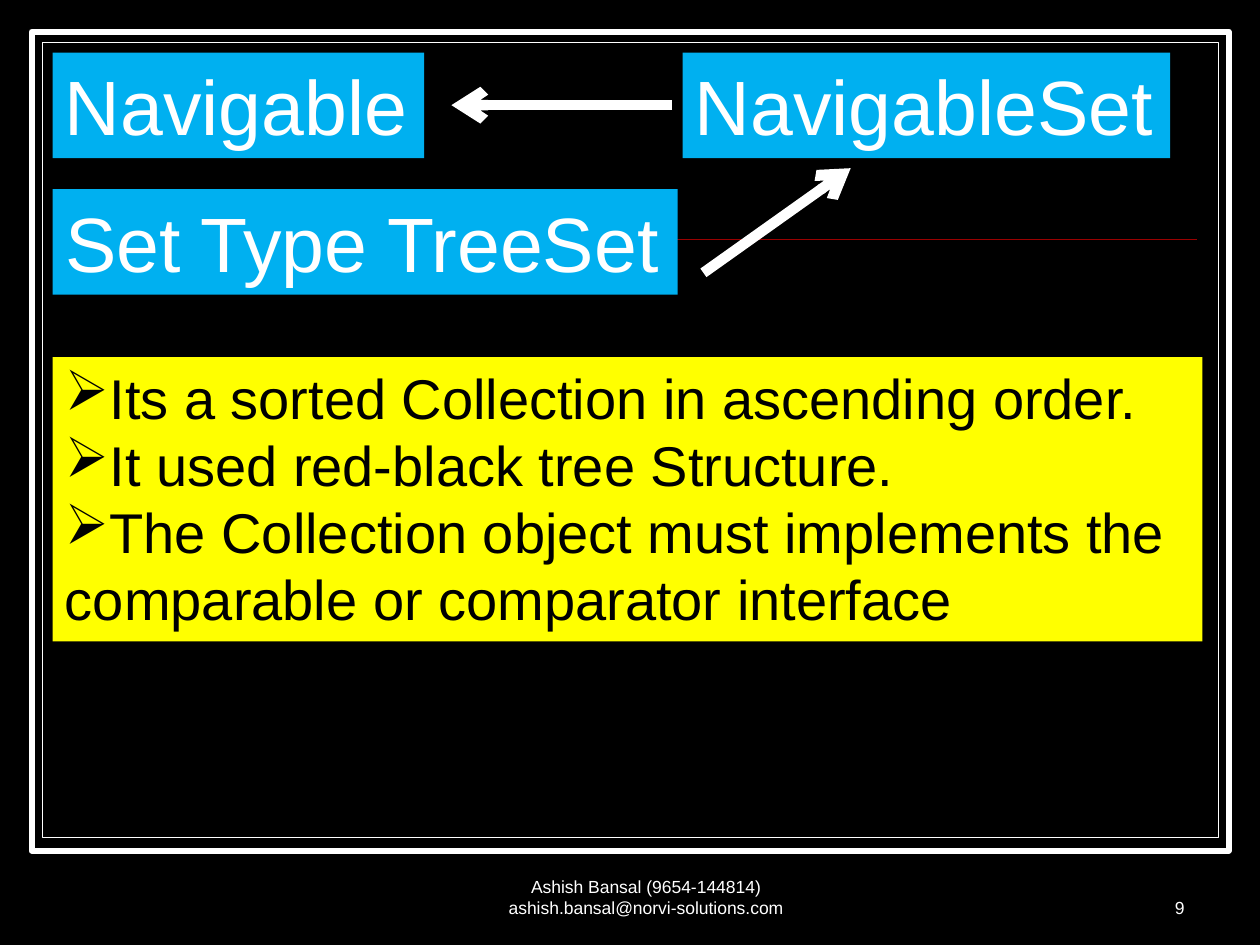
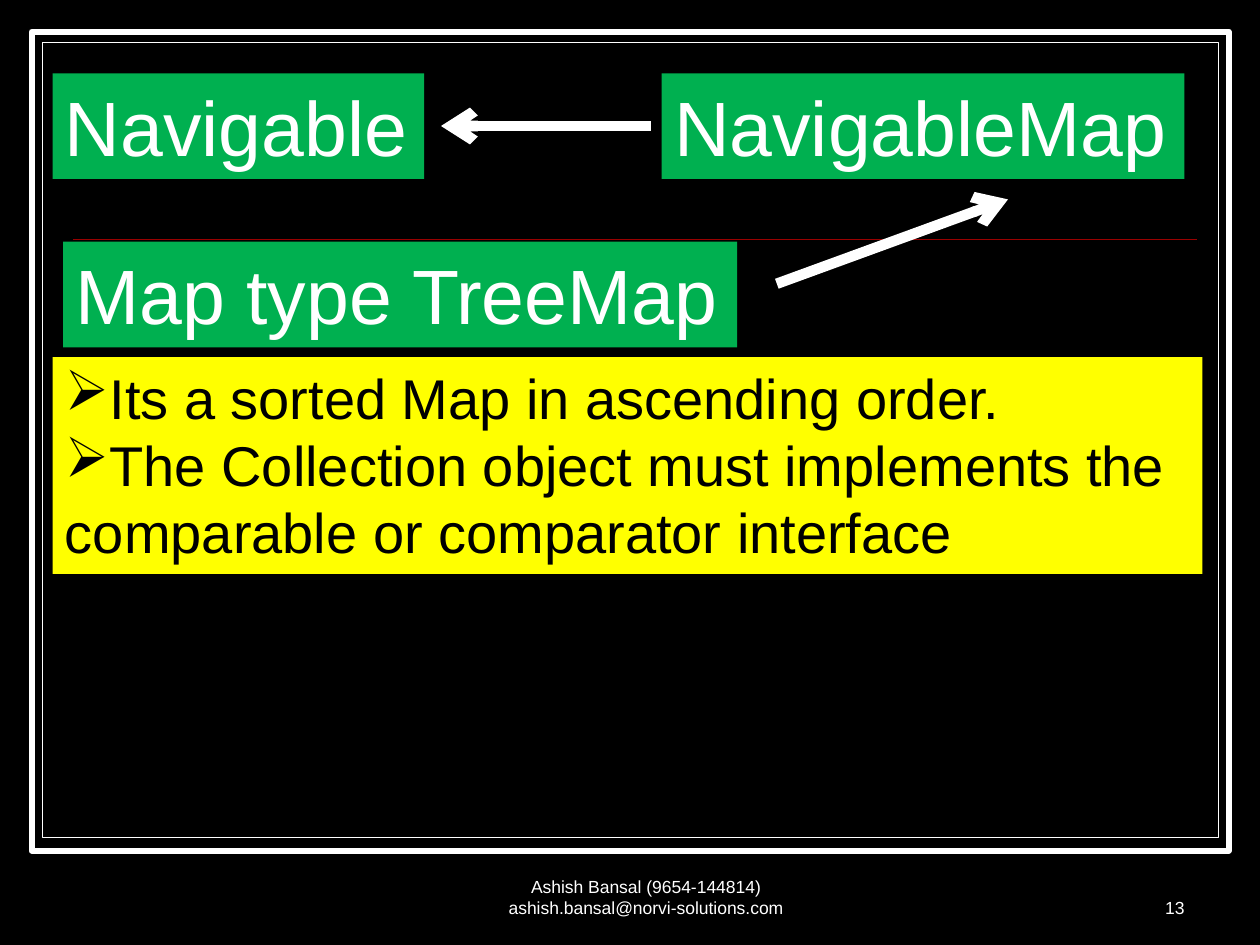
from lxml import etree
from pptx import Presentation
from pptx.dml.color import RGBColor
from pptx.enum.shapes import MSO_CONNECTOR, MSO_SHAPE
from pptx.enum.text import MSO_ANCHOR, MSO_AUTO_SIZE, PP_ALIGN
from pptx.oxml.ns import qn
from pptx.util import Cm, Pt

STRAIGHT = MSO_CONNECTOR.STRAIGHT
RECTANGLE = MSO_SHAPE.RECTANGLE
TOP, BOTTOM = MSO_ANCHOR.TOP, MSO_ANCHOR.BOTTOM
LEFT, CENTER, RIGHT = PP_ALIGN.LEFT, PP_ALIGN.CENTER, PP_ALIGN.RIGHT
FIT_SHAPE = MSO_AUTO_SIZE.SHAPE_TO_FIT_TEXT

BLACK = RGBColor(0x00, 0x00, 0x00)
WHITE = RGBColor(0xFF, 0xFF, 0xFF)
RED = RGBColor(0x99, 0x00, 0x00)
YELLOW = RGBColor(0xFF, 0xFF, 0x00)
BLUE = RGBColor(0x00, 0xB0, 0xF0)
GREEN = RGBColor(0x00, 0xB0, 0x50)

FONT = "Arial"
TITLE_ONLY = 5
MARGIN = 1.06
LABEL_HEIGHT = 2.13
NAVIGABLE_WIDTH = 7.49
CONTACT = "Ashish Bansal (9654-144814) ashish.bansal@norvi-solutions.com"
INTERFACE_RULE = "The Collection object must implements the\ncomparable or comparator interface"


def style_paragraph(paragraph, size, color, align=LEFT):
    paragraph.alignment = align
    paragraph.font.name = FONT
    paragraph.font.size = Pt(size)
    paragraph.font.color.rgb = color


def fill_solid(shape, color):
    shape.fill.solid()
    shape.fill.fore_color.rgb = color


def fit_to_text(frame):
    frame.word_wrap = False
    frame.auto_size = FIT_SHAPE
    frame.vertical_anchor = TOP


def add_box(page, left, top, width, height):
    return page.shapes.add_textbox(Cm(left), Cm(top), Cm(width), Cm(height))


def add_line(page, start, end, color, weight):
    line = page.shapes.add_connector(
        STRAIGHT, Cm(start[0]), Cm(start[1]), Cm(end[0]), Cm(end[1]))
    line.line.color.rgb = color
    line.line.width = Pt(weight)
    etree.SubElement(line.element.spPr, qn("a:effectLst"))
    return line


def add_arrow(page, start, end):
    arrow = add_line(page, start, end, WHITE, 6)
    outline = arrow.element.spPr.find(qn("a:ln"))
    etree.SubElement(outline, qn("a:tailEnd"), type="arrow")


def add_frame(page):
    """Double white border with the red rule across it."""
    for inset, width, height, weight in ((0.64, 24.13, 16.51, 3.5), (0.86, 23.7, 16.03, 0.75)):
        border = page.shapes.add_shape(RECTANGLE, Cm(inset), Cm(inset), Cm(width), Cm(height))
        border.shadow.inherit = False
        fill_solid(border, BLACK)
        border.line.color.rgb = WHITE
        border.line.width = Pt(weight)
    add_line(page, (1.48, 4.83), (24.13, 4.83), RED, 1)


def add_footer_text(page, text, left, width, align):
    frame = add_box(page, left, 17.36, width, 1.27).text_frame
    frame.word_wrap = True
    frame.vertical_anchor = BOTTOM
    paragraph = frame.paragraphs[0]
    paragraph.text = text
    style_paragraph(paragraph, 10, WHITE, align)


def style_label(shape, text, color):
    fill_solid(shape, color)
    frame = shape.text_frame
    fit_to_text(frame)
    paragraph = frame.paragraphs[0]
    paragraph.text = text
    style_paragraph(paragraph, 44, WHITE)


def add_label(page, text, left, top, width, color):
    style_label(add_box(page, left, top, width, LABEL_HEIGHT), text, color)


def place_title(page, text, left, top, width, color):
    title = page.shapes.title
    title.left, title.top = Cm(left), Cm(top)
    title.width, title.height = Cm(width), Cm(LABEL_HEIGHT)
    style_label(title, text, color)
    page.shapes.element.append(title.element)  # in front of the frame


def add_facts(page, facts, height):
    box = add_box(page, MARGIN, 7.2, 23.18, height)
    fill_solid(box, YELLOW)
    frame = box.text_frame
    fit_to_text(frame)
    for index, fact in enumerate(facts):
        paragraph = frame.add_paragraph() if index else frame.paragraphs[0]
        paragraph.text = fact
        properties = paragraph._p.get_or_add_pPr()
        etree.SubElement(properties, qn("a:buChar"), char="➢")
        style_paragraph(paragraph, 32, BLACK)


def add_page(deck, number, title, title_place, color):
    page = deck.slides.add_slide(deck.slide_layouts[TITLE_ONLY])
    fill_solid(page.background, BLACK)
    add_frame(page)
    add_footer_text(page, CONTACT, 9, 8.04, CENTER)
    add_footer_text(page, str(number), 18.84, 5.29, RIGHT)
    place_title(page, title, *title_place, color)
    return page


def main():
    deck = Presentation()
    deck.slide_width, deck.slide_height = Cm(25.4), Cm(19.05)

    page = add_page(deck, 9, "Set Type TreeSet", (MARGIN, 3.81, 12.6), BLUE)
    add_facts(page, ["Its a sorted Collection in ascending order.",
                     "It used red-black tree Structure.", INTERFACE_RULE], 5.73)
    add_label(page, "NavigableSet", 13.76, MARGIN, 9.83, BLUE)
    add_label(page, "Navigable", MARGIN, MARGIN, NAVIGABLE_WIDTH, BLUE)
    add_arrow(page, (13.55, 2.12), (9.1, 2.12))
    add_arrow(page, (14.18, 5.5), (17.15, 3.39))

    page = add_page(deck, 13, "Map type TreeMap", (1.27, 4.87, 13.59), GREEN)
    add_label(page, "NavigableMap", 13.34, 1.48, 10.54, GREEN)
    add_label(page, "Navigable", MARGIN, 1.48, NAVIGABLE_WIDTH, GREEN)
    add_arrow(page, (13.12, 2.54), (8.89, 2.54))
    add_arrow(page, (15.66, 5.72), (20.32, 4.02))
    add_facts(page, ["Its a sorted Map in ascending order.", INTERFACE_RULE], 4.37)

    deck.save("out.pptx")


if __name__ == "__main__":
    main()
